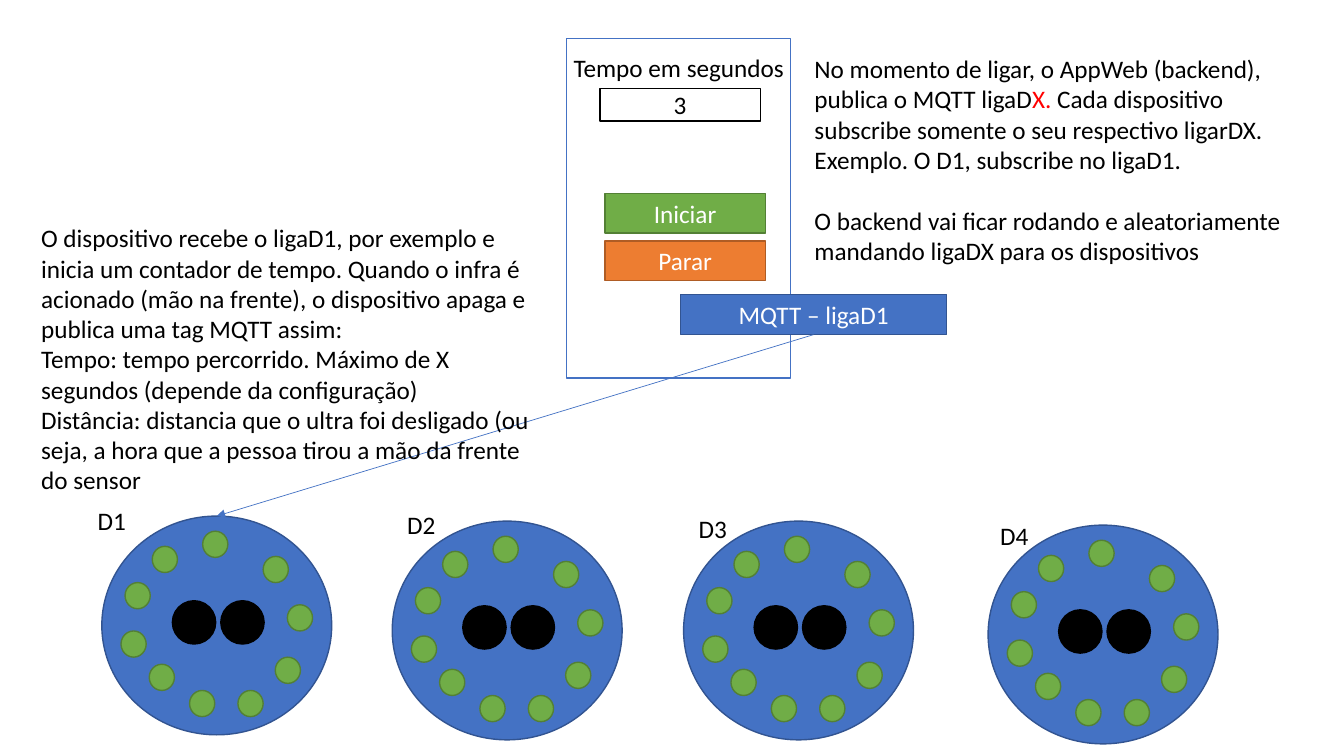
from lxml.etree import SubElement
from pptx import Presentation
from pptx.dml.color import RGBColor
from pptx.enum.shapes import MSO_CONNECTOR, MSO_SHAPE
from pptx.enum.text import MSO_ANCHOR, MSO_AUTO_SIZE, PP_ALIGN
from pptx.oxml.ns import qn
from pptx.util import Pt

PX = 9144  # 100 px to the inch
BLUE, GREEN, ORANGE = "4472C4", "70AD47", "ED7D31"
DARK_BLUE, DARK_GREEN, DARK_ORANGE = "325491", "538035", "AF5C24"
BLACK, WHITE, RED = "000000", "FFFFFF", "FF0000"

prs = Presentation()
prs.slide_width, prs.slide_height = 1333 * PX, 750 * PX
slide = prs.slides.add_slide(prs.slide_layouts[6])


def draw(preset, box, fill, line, label="", color=WHITE):
    """Add a filled preset shape with an optional centred label."""
    shape = slide.shapes.add_shape(preset, *(n * PX for n in box))
    shape.shadow.inherit = False
    shape.fill.solid()
    shape.fill.fore_color.rgb = RGBColor.from_string(fill)
    shape.line.color.rgb = RGBColor.from_string(line)
    shape.line.width = Pt(1)
    if label:
        shape.text_frame.vertical_anchor = MSO_ANCHOR.MIDDLE
        write(shape.text_frame, [[(label, color)]], PP_ALIGN.CENTER)
    return shape


def write(frame, paragraphs, align=PP_ALIGN.LEFT, gap=0):
    """Fill a frame with paragraphs, each a list of (text, colour) runs."""
    for i, runs in enumerate(paragraphs):
        paragraph = frame.add_paragraph() if i else frame.paragraphs[0]
        paragraph.alignment = align
        paragraph.space_before = Pt(gap if i else 0)
        for text, color in runs:
            run = paragraph.add_run()
            run.text = text
            run.font.name = "Calibri"
            run.font.size = Pt(18)
            run.font.color.rgb = RGBColor.from_string(color)


# Web app panel
draw(MSO_SHAPE.RECTANGLE, (562, 38, 222, 337), WHITE, BLUE)
draw(MSO_SHAPE.RECTANGLE, (595, 88, 159, 32), WHITE, BLACK, "3", BLACK)
draw(MSO_SHAPE.RECTANGLE, (600, 192, 159, 39), GREEN, DARK_GREEN, "Iniciar")
draw(MSO_SHAPE.RECTANGLE, (600, 239, 159, 39), ORANGE, DARK_ORANGE, "Parar")

# Devices: a body, a ring of LEDs and the two sensor eyes
device_origins = [(101, 512), (389, 517), (678, 517), (980, 521)]
led_offsets = [(100, 15), (160, 40), (184, 88), (172, 140), (135, 173),
               (87, 173), (47, 147), (19, 114), (23, 66), (50, 30)]
eye_offsets = [(70, 84), (118, 84)]
devices = []
for x, y in device_origins:
    devices.append(draw(MSO_SHAPE.OVAL, (x, y, 228, 217), BLUE, DARK_BLUE))
    for dx, dy in led_offsets:
        draw(MSO_SHAPE.OVAL, (x + dx, y + dy, 25, 26), GREEN, DARK_GREEN)
    for dx, dy in eye_offsets:
        draw(MSO_SHAPE.OVAL, (x + dx, y + dy, 43, 43), BLACK, BLACK)

# MQTT message and its arrow to the first device
message = draw(MSO_SHAPE.RECTANGLE, (675, 292, 264, 40), BLUE, DARK_BLUE, "MQTT – ligaD1")
arrow = slide.shapes.add_connector(MSO_CONNECTOR.STRAIGHT, 807 * PX, 332 * PX, 215 * PX, 512 * PX)
arrow.begin_connect(message, 2)
arrow.end_connect(devices[0], 0)
arrow.line.color.rgb = RGBColor.from_string(BLUE)
arrow.line.width = Pt(0.5)
SubElement(arrow.line._get_or_add_ln(), qn("a:tailEnd"), type="triangle")
SubElement(arrow._element.spPr, qn("a:effectLst"))

# Labels and explanations: box, wrapping, gap between paragraphs, paragraphs
backend_notes = [
    [("No momento de ligar, o AppWeb (backend), publica o MQTT ligaD", BLACK),
     ("X. ", RED),
     ("Cada dispositivo subscribe somente o seu respectivo ligarDX. "
      "Exemplo. O D1, subscribe no ligaD1.", BLACK)],
    [("O backend vai ficar rodando e aleatoriamente mandando ligaDX "
      "para os dispositivos", BLACK)],
]
device_notes = [
    [("O dispositivo recebe o ligaD1, por exemplo e inicia um contador de tempo. "
      "Quando o infra é acionado (mão na frente), o dispositivo apaga e publica "
      "uma tag MQTT assim:", BLACK)],
    [("Tempo: tempo percorrido. Máximo de X segundos (depende da configuração)", BLACK)],
    [("Distância: distancia que o ultra foi desligado (ou seja, a hora que a pessoa "
      "tirou a mão da frente do sensor", BLACK)],
]
texts = [
    ((559, 47, 231, 40), False, 0, [[("Tempo em segundos", BLACK)]]),
    ((798, 48, 506, 252), True, 22, backend_notes),
    ((31, 216, 506, 313), True, 0, device_notes),
]
label_corners = [(87, 496), (394, 500), (683, 504), (982, 511)]
for number, (x, y) in enumerate(label_corners, 1):
    texts.append(((x, y, 49, 40), False, 0, [[(f"D{number}", BLACK)]]))
for box, wrap, gap, paragraphs in texts:
    frame = slide.shapes.add_textbox(*(n * PX for n in box)).text_frame
    frame.word_wrap = wrap
    frame.auto_size = MSO_AUTO_SIZE.SHAPE_TO_FIT_TEXT
    write(frame, paragraphs, gap=gap)

prs.save("out.pptx")
